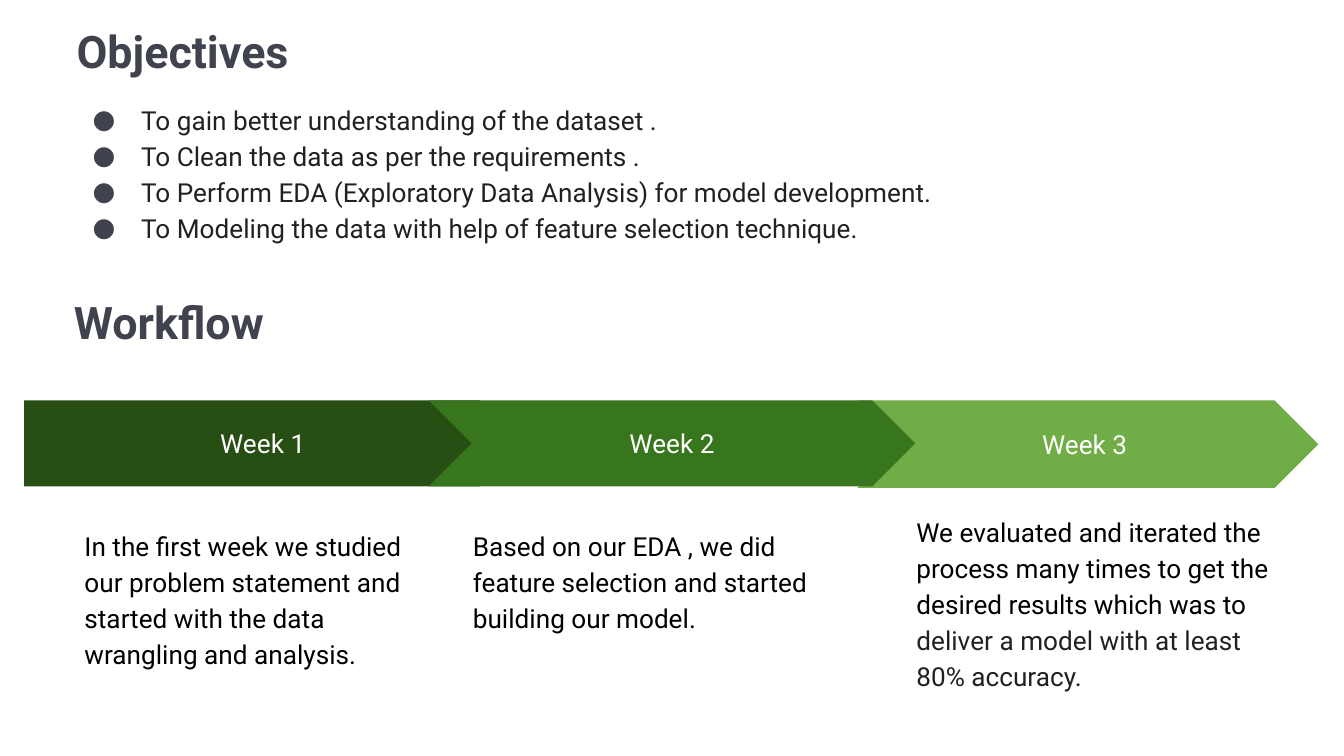
"""Build the objectives and three-week workflow slide."""
from dataclasses import dataclass

import pptx
import pptx.dml.color
import pptx.enum.shapes
import pptx.enum.text
import pptx.oxml
import pptx.oxml.ns
import pptx.util

Inches = pptx.util.Inches
Shape = pptx.enum.shapes.MSO_SHAPE
Anchor = pptx.enum.text.MSO_ANCHOR
Align = pptx.enum.text.PP_ALIGN

SLATE, CHARCOAL, BLACK, WHITE = "40434E", "212121", "000000", "FFFFFF"
PAGE_WIDTH = 10
ARROW_TOP = 2.98


@dataclass
class Week:
    label: str
    preset: Shape
    left: float
    width: float
    height: float
    fill: str
    note: tuple[float, float, float]
    spans: list[tuple[str, str]]


HEADINGS = [("Objectives", 0.5, 0.1), ("Workflow", 0.48, 2.12)]

OBJECTIVES = [
    "To gain better understanding of the dataset .",
    "To Clean the data as per the requirements .",
    "To Perform EDA (Exploratory Data Analysis) for model development.",
    "To Modeling the data with help of feature selection technique.",
]

WEEKS = [
    Week("Week 3 ", Shape.CHEVRON, 6.38, 3.43, 0.65, "70AD47", (6.72, 3.71, 2.89), [
        ("We evaluated and iterated the process many times to get the "
         "desired results which was to ", BLACK),
        ("deliver a model with at least 80% accuracy.", CHARCOAL)]),
    Week("Week 1", Shape.PENTAGON, 0.18, 3.71, 0.64, "274E13", (0.53, 3.81, 2.68), [
        ("In the first week we studied our problem statement and started "
         "with the data wrangling and analysis.", BLACK)]),
    Week("Week 2", Shape.CHEVRON, 3.19, 3.62, 0.64, "38761D", (3.42, 3.81, 2.96), [
        ("Based on our EDA , we did feature selection and started "
         "building our model.", BLACK)]),
]


def color(value: str) -> pptx.dml.color.RGBColor:
    return pptx.dml.color.RGBColor.from_string(value)


def add_span(para, text: str, *, size: float = 14, fill: str = BLACK, bold: bool = False) -> None:
    span = para.add_run()
    span.text = text
    span.font.name = "Roboto"
    span.font.size = pptx.util.Pt(size)
    span.font.bold = bold
    span.font.color.rgb = color(fill)


def set_frame(box, *, side: float = 0.1, edge: float = 0.1, anchor: Anchor = Anchor.TOP):
    frame = box.text_frame
    frame.word_wrap = True
    frame.vertical_anchor = anchor
    frame.margin_left = frame.margin_right = Inches(side)
    frame.margin_top = frame.margin_bottom = Inches(edge)
    return frame


def add_box(page, left: float, top: float, width: float, height: float):
    return page.shapes.add_textbox(Inches(left), Inches(top), Inches(width), Inches(height))


def add_bullet(para) -> None:
    properties = para._p.get_or_add_pPr()
    properties.set("marL", str(Inches(0.5)))
    properties.set("indent", str(Inches(-0.36)))
    namespace = pptx.oxml.ns.nsdecls("a")
    for xml in (f'<a:buClr {namespace}><a:srgbClr val="{SLATE}"/></a:buClr>',
                f'<a:buSzPts {namespace} val="1400"/>',
                f'<a:buFont {namespace} typeface="Roboto"/>',
                f'<a:buChar {namespace} char="●"/>'):
        properties.append(pptx.oxml.parse_xml(xml))


def draw_heading(page, text: str, left: float, top: float) -> None:
    box = add_box(page, left, top, 8.24, 0.6)
    para = set_frame(box, side=0.07, edge=0.04, anchor=Anchor.MIDDLE).paragraphs[0]
    para.line_spacing = 0.9
    add_span(para, text, size=24, fill=SLATE, bold=True)


def draw_objectives(page) -> None:
    frame = set_frame(add_box(page, 0.49, 0.68, 8.9, 1.25), side=0.06, edge=0.06)
    for index, text in enumerate(OBJECTIVES):
        para = frame.add_paragraph() if index else frame.paragraphs[0]
        para.line_spacing = 1.15
        add_bullet(para)
        add_span(para, text, fill=CHARCOAL)


def draw_week(page, week: Week) -> None:
    arrow = page.shapes.add_shape(week.preset, Inches(week.left), Inches(ARROW_TOP),
                                  Inches(week.width), Inches(week.height))
    arrow.shadow.inherit = False
    arrow.fill.solid()
    arrow.fill.fore_color.rgb = color(week.fill)
    arrow.line.fill.background()
    para = set_frame(arrow, anchor=Anchor.MIDDLE).paragraphs[0]
    para.alignment = Align.CENTER
    add_span(para, week.label, fill=WHITE)

    left, top, width = week.note
    para = set_frame(add_box(page, left, top, width, 1.6)).paragraphs[0]
    para.line_spacing = 1.15
    for text, fill in week.spans:
        add_span(para, text, fill=fill)


def main() -> None:
    deck = pptx.Presentation()
    deck.slide_width = Inches(PAGE_WIDTH)
    deck.slide_height = Inches(PAGE_WIDTH * 9 / 16)
    page = deck.slides.add_slide(deck.slide_layouts[6])
    for week in WEEKS:
        draw_week(page, week)
    for text, left, top in HEADINGS:
        draw_heading(page, text, left, top)
    draw_objectives(page)
    deck.save("out.pptx")


if __name__ == "__main__":
    main()
